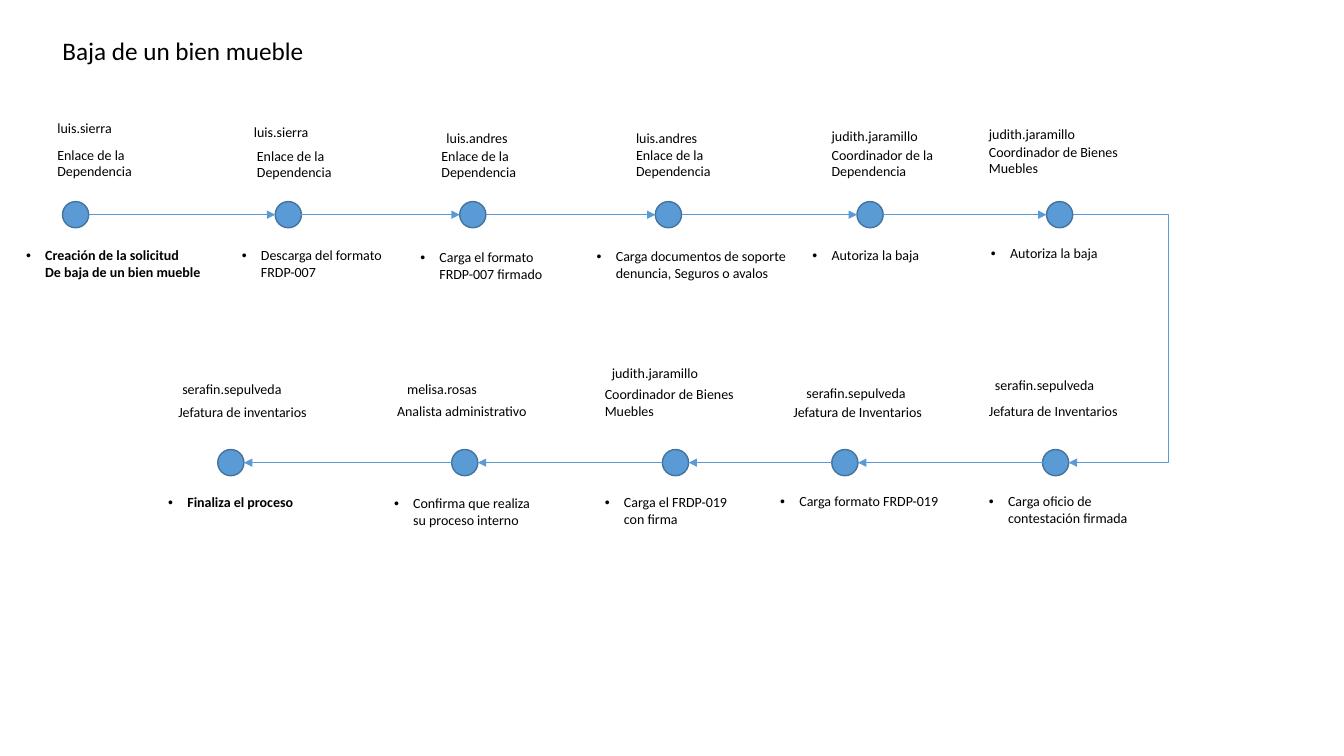
from itertools import pairwise

from lxml import etree
from pptx import Presentation
from pptx.dml.color import RGBColor
from pptx.enum.shapes import MSO_CONNECTOR, MSO_SHAPE
from pptx.enum.text import MSO_AUTO_SIZE
from pptx.oxml.ns import qn
from pptx.util import Inches, Pt

OVAL = MSO_SHAPE.OVAL
STRAIGHT = MSO_CONNECTOR.STRAIGHT
ELBOW = MSO_CONNECTOR.ELBOW
GROW = MSO_AUTO_SIZE.SHAPE_TO_FIT_TEXT

COLORS = {"text": "000000", "node": "5B9BD5", "outline": "43739E"}
FONT = "Calibri"
NODE = 0.26
HANG = 0.19
TURN_X = 11.58
UPPER_Y, LOWER_Y = 2.13, 4.59

LINK = ["Enlace de la", "Dependencia"]
GOODS = ["Coordinador de Bienes", "Muebles"]

# Each step: node left, then (left, top, width, lines) for user, role and action.
UPPER_STEPS = [
    (0.62, (0.47, 1.14, 0.75, ["luis.sierra"]), (0.47, 1.4, 0.95, LINK),
     (0.16, 2.4, 1.95, ["Creación de la solicitud", "De baja de un bien mueble"])),
    (2.73, (2.42, 1.18, 0.75, ["luis.sierra"]), (2.45, 1.41, 0.95, LINK),
     (2.3, 2.4, 1.61, ["Descarga del formato", "FRDP-007"])),
    (4.56, (4.33, 1.24, 0.82, ["luis.andres"]), (4.28, 1.41, 0.95, LINK),
     (4.07, 2.42, 1.43, ["Carga el formato", "FRDP-007 firmado"])),
    (6.5, (6.21, 1.24, 0.82, ["luis.andres"]), (6.21, 1.4, 0.95, LINK),
     (5.82, 2.41, 2.14, ["Carga documentos de soporte", "denuncia, Seguros o avalos"])),
    (8.5, (8.15, 1.22, 1.07, ["judith.jaramillo"]),
     (8.15, 1.4, 1.22, ["Coordinador de la", "Dependencia"]),
     (7.96, 2.4, 1.27, ["Autoriza la baja"])),
    (10.38, (9.71, 1.2, 1.07, ["judith.jaramillo"]), (9.71, 1.37, 1.5, GOODS),
     (9.73, 2.38, 1.27, ["Autoriza la baja"])),
]
LOWER_STEPS = [
    (10.34, (9.77, 3.69, 1.2, ["serafin.sepulveda"]),
     (9.71, 3.94, 1.51, ["Jefatura de Inventarios"]),
     (9.71, 4.84, 1.6, ["Carga oficio de", "contestación firmada"])),
    (8.25, (7.9, 3.77, 1.2, ["serafin.sepulveda"]),
     (7.77, 3.95, 1.51, ["Jefatura de Inventarios"]),
     (7.64, 4.84, 1.8, ["Carga formato FRDP-019"])),
    (6.57, (5.97, 3.57, 1.07, ["judith.jaramillo"]), (5.9, 3.78, 1.5, GOODS),
     (5.9, 4.85, 1.47, ["Carga el FRDP-019", "con firma"])),
    (4.48, (3.94, 3.73, 0.9, ["melisa.rosas"]),
     (3.84, 3.94, 1.51, ["Analista administrativo"]),
     (3.81, 4.86, 1.6, ["Confirma que realiza", "su proceso interno"])),
    (2.16, (1.71, 3.73, 1.2, ["serafin.sepulveda"]),
     (1.67, 3.95, 1.5, ["Jefatura de inventarios"]),
     (1.57, 4.85, 1.46, ["Finaliza el proceso"])),
]


def color(name):
    """Return the named colour."""
    return RGBColor.from_string(COLORS[name])


def add_text(page, left, top, width, lines, size=10, bold=False, bullet=False):
    """Add a text box, optionally with a bullet before its first line."""
    height = 0.1 + 0.017 * size * len(lines)
    box = page.shapes.add_textbox(Inches(left), Inches(top), Inches(width), Inches(height))
    frame = box.text_frame
    frame.text = "\n".join(lines)
    frame.word_wrap = False
    frame.auto_size = GROW
    for index, paragraph in enumerate(frame.paragraphs):
        for span in paragraph.runs:
            span.font.name = FONT
            span.font.size = Pt(size)
            span.font.bold = bold
            span.font.color.rgb = color("text")
        if bullet:
            settings = paragraph._p.get_or_add_pPr()
            settings.set("marL", str(Inches(HANG)))
            settings.set("indent", str(0 if index else -Inches(HANG)))
            if index == 0:
                etree.SubElement(settings, qn("a:buFont"), typeface="Arial")
                etree.SubElement(settings, qn("a:buChar"), char="•")


def add_node(page, left, middle):
    """Add the circle that marks a step."""
    node = page.shapes.add_shape(
        OVAL, Inches(left), Inches(middle - NODE / 2), Inches(NODE), Inches(NODE))
    node.shadow.inherit = False
    node.fill.solid()
    node.fill.fore_color.rgb = color("node")
    node.line.color.rgb = color("outline")
    node.line.width = Pt(1)


def add_arrow(page, start, end, kind=STRAIGHT):
    """Add an arrow between two points and return it."""
    arrow = page.shapes.add_connector(kind, *map(Inches, start + end))
    arrow.line.color.rgb = color("node")
    arrow.line.width = Pt(0.5)
    etree.SubElement(arrow.line._get_or_add_ln(), qn("a:tailEnd"), type="triangle")
    etree.SubElement(arrow._element.spPr, qn("a:effectLst"))
    return arrow


def add_turn(page, start, end):
    """Add the bent arrow that leads from the upper row to the lower one."""
    arrow = add_arrow(page, start, end, ELBOW)
    bend = round((TURN_X - start[0]) / (end[0] - start[0]) * 100000)
    guides = arrow._element.spPr.find(qn("a:prstGeom")).get_or_add_avLst()
    etree.SubElement(guides, qn("a:gd"), name="adj1", fmla=f"val {bend}")


def add_row(page, steps, middle):
    """Add a row of steps joined by arrows."""
    for left, user, role, action in steps:
        add_node(page, left, middle)
        add_text(page, *user)
        add_text(page, *role)
        is_end = action in (UPPER_STEPS[0][-1], LOWER_STEPS[-1][-1])
        add_text(page, *action, bold=is_end, bullet=True)
    for (left, *_), (following, *_) in pairwise(steps):
        if following > left:
            add_arrow(page, (left + NODE, middle), (following, middle))
        else:
            add_arrow(page, (left, middle), (following + NODE, middle))


def main():
    """Build the process slide and save it."""
    deck = Presentation()
    deck.slide_width, deck.slide_height = Inches(13.33), Inches(7.5)
    page = deck.slides.add_slide(deck.slide_layouts[6])
    add_text(page, 0.52, 0.3, 2.63, ["Baja de un bien mueble"], size=18)
    add_row(page, UPPER_STEPS, UPPER_Y)
    add_row(page, LOWER_STEPS, LOWER_Y)
    add_turn(page, (UPPER_STEPS[-1][0] + NODE, UPPER_Y), (LOWER_STEPS[0][0] + NODE, LOWER_Y))
    deck.save("out.pptx")


if __name__ == "__main__":
    main()
